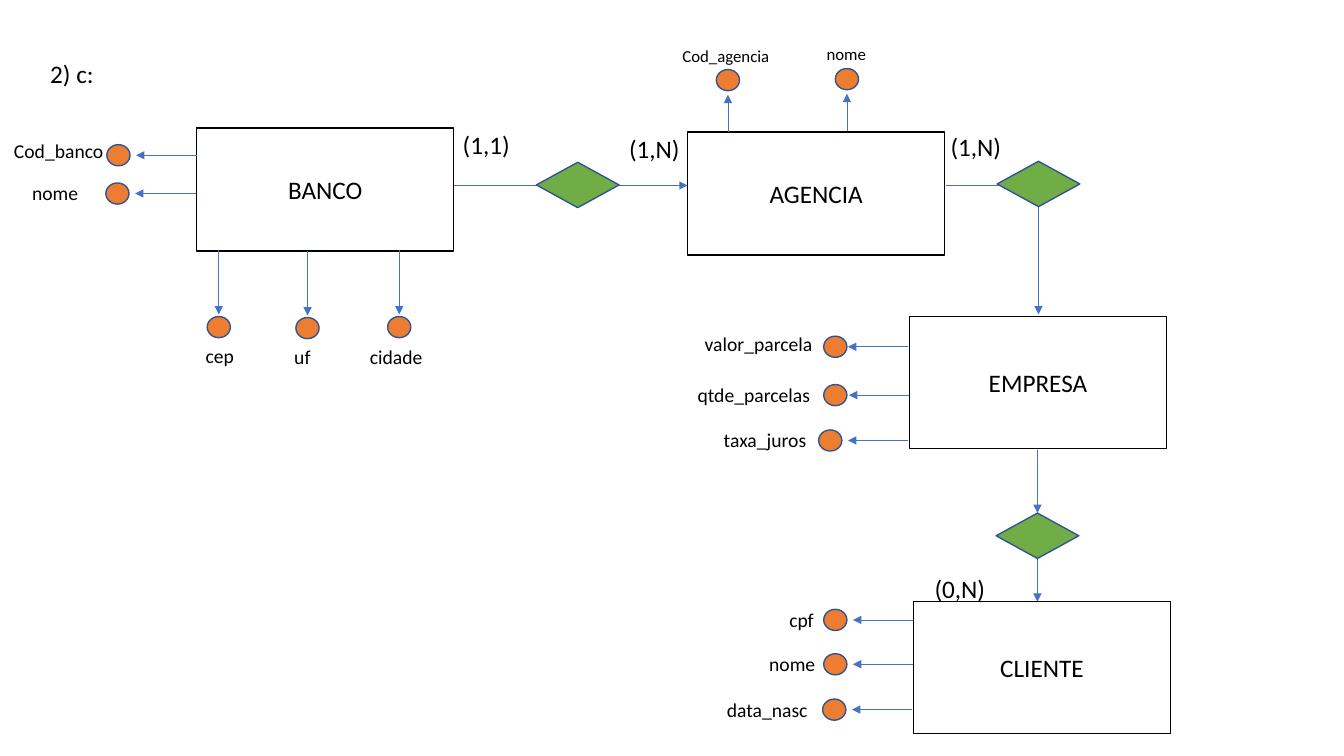
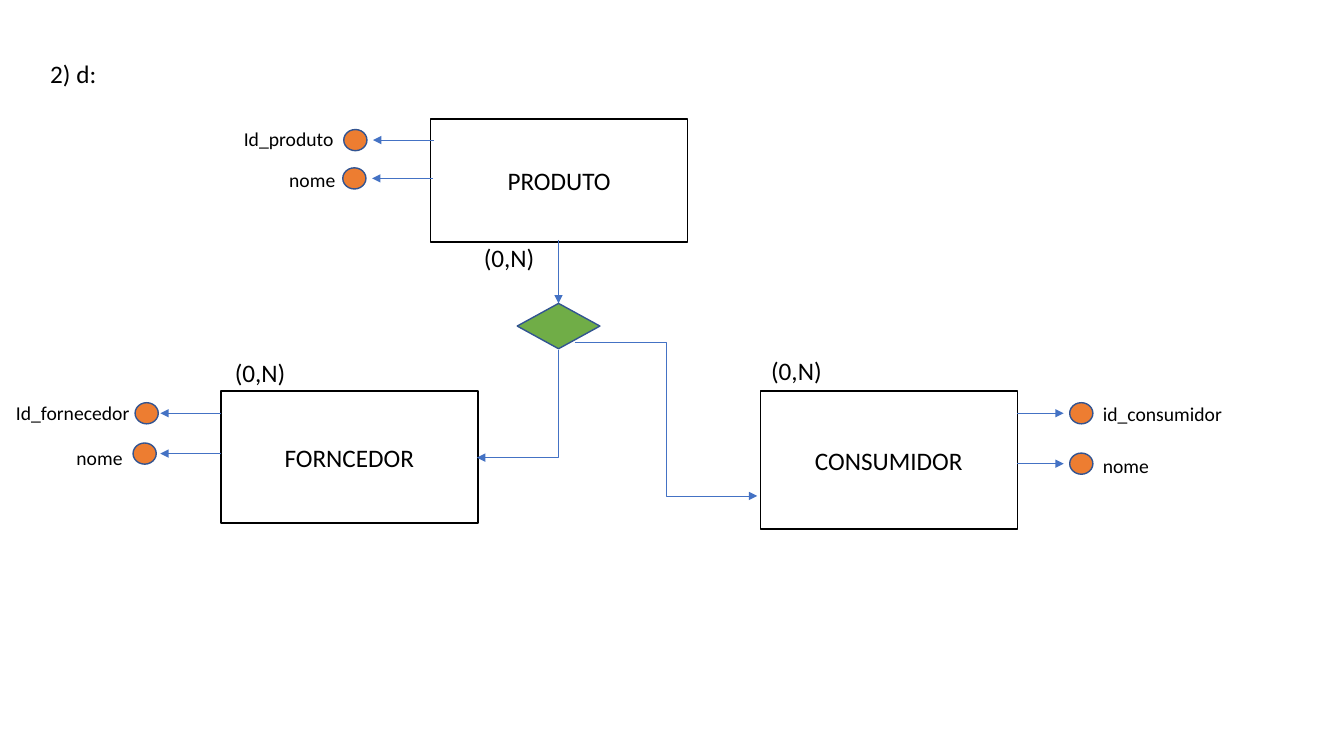
from dataclasses import dataclass

from lxml import etree
from pptx import Presentation
from pptx.dml.color import RGBColor
from pptx.enum.shapes import MSO_CONNECTOR, MSO_SHAPE
from pptx.enum.text import MSO_ANCHOR, PP_ALIGN
from pptx.oxml.ns import qn
from pptx.shapes.autoshape import Shape
from pptx.shapes.connector import Connector
from pptx.slide import Slide
from pptx.text.text import TextFrame
from pptx.util import Inches, Pt

RECT, DIAMOND, OVAL = MSO_SHAPE.RECTANGLE, MSO_SHAPE.DIAMOND, MSO_SHAPE.OVAL
STRAIGHT, ELBOW = MSO_CONNECTOR.STRAIGHT, MSO_CONNECTOR.ELBOW
MIDDLE, CENTER = MSO_ANCHOR.MIDDLE, PP_ALIGN.CENTER

COLORS = {
    "text": "000000",
    "entity": "FFFFFF",
    "border": "000000",
    "relation": "70AD47",
    "attribute": "ED7D31",
    "outline": "325491",
    "arrow": "4472C4",
}
TEXT_FORMAT = {"name": "Calibri", "bold": False, "italic": False}
TITLE_AT = (0.4, 0.53)
BOX_W = 2.55
DIAMOND_W, DIAMOND_H = 0.82, 0.45
DOT_W, DOT_H = 0.23, 0.21
LARGE, MEDIUM, SMALL = 18, 14, 12
LINE_HEIGHTS = {LARGE: 0.4, MEDIUM: 0.34, SMALL: 0.3}
ARROW_STEPS = {
    "left": (-0.6, 0),
    "right": (0.46, 0),
    "up": (0, -0.37),
    "down": (0, 0.64),
}

Point = tuple[float, float]


@dataclass(frozen=True)
class Label:
    text: str
    left: float
    top: float
    width: float
    size: int = MEDIUM
    wrap: bool = True


@dataclass(frozen=True)
class Entity:
    name: str
    left: float
    top: float
    height: float


@dataclass(frozen=True)
class Attribute:
    label: Label
    start: Point
    side: str = "left"
    gap: float = 0.06


@dataclass(frozen=True)
class Link:
    start: Point
    end: Point
    kind: MSO_CONNECTOR = STRAIGHT
    preset: str = ""
    rotation: int = 0


@dataclass(frozen=True)
class Diagram:
    title: Label
    cardinalities: list[Label]
    entities: list[Entity]
    links: list[Link]
    relations: list[Point]
    attributes: list[Attribute]


def rgb(key: str) -> RGBColor:
    return RGBColor.from_string(COLORS[key])


def write(tf: TextFrame, text: str, size: int) -> None:
    p = tf.paragraphs[0]
    r = p.add_run()
    r.text = text
    for name, value in TEXT_FORMAT.items():
        setattr(r.font, name, value)
    r.font.size = Pt(size)
    r.font.color.rgb = rgb("text")


def draw_label(s: Slide, label: Label) -> None:
    tb = s.shapes.add_textbox(
        Inches(label.left), Inches(label.top),
        Inches(label.width), Inches(LINE_HEIGHTS[label.size]),
    )
    tb.text_frame.word_wrap = label.wrap
    write(tb.text_frame, label.text, label.size)


def draw_shape(s: Slide, kind: MSO_SHAPE, at: Point, size: Point,
               fill: str, line: str) -> Shape:
    sp = s.shapes.add_shape(kind, *map(Inches, (*at, *size)))
    sp.shadow.inherit = False
    sp.fill.solid()
    sp.fill.fore_color.rgb = rgb(fill)
    sp.line.color.rgb = rgb(line)
    sp.line.width = Pt(1)
    return sp


def draw_entity(s: Slide, entity: Entity) -> None:
    sp = draw_shape(s, RECT, (entity.left, entity.top),
                    (BOX_W, entity.height), "entity", "border")
    tf = sp.text_frame
    tf.vertical_anchor = MIDDLE
    tf.paragraphs[0].alignment = CENTER
    write(tf, entity.name, LARGE)


def draw_link(s: Slide, link: Link) -> Connector:
    cn = s.shapes.add_connector(link.kind, *map(Inches, (*link.start, *link.end)))
    cn.line.color.rgb = rgb("arrow")
    cn.line.width = Pt(0.5)
    sp_pr = cn._element.spPr
    etree.SubElement(cn.line._get_or_add_ln(), qn("a:tailEnd"), type="triangle")
    etree.SubElement(sp_pr, qn("a:effectLst"))
    if link.preset:
        sp_pr.find(qn("a:prstGeom")).set("prst", link.preset)
    if link.rotation:
        sp_pr.find(qn("a:xfrm")).set("rot", str(link.rotation * 60000))
    return cn


def draw_attribute(s: Slide, attribute: Attribute) -> None:
    x, y = attribute.start
    dx, dy = ARROW_STEPS[attribute.side]
    end = (x + dx, y + dy)
    draw_link(s, Link(attribute.start, end))
    reach_x = attribute.gap + DOT_W / 2
    reach_y = attribute.gap + DOT_H / 2
    center_x = end[0] + reach_x * ((dx > 0) - (dx < 0))
    center_y = end[1] + reach_y * ((dy > 0) - (dy < 0))
    draw_shape(s, OVAL, (center_x - DOT_W / 2, center_y - DOT_H / 2),
               (DOT_W, DOT_H), "attribute", "outline")
    draw_label(s, attribute.label)


def draw_diagram(s: Slide, diagram: Diagram) -> None:
    for label in (diagram.title, *diagram.cardinalities):
        draw_label(s, label)
    for entity in diagram.entities:
        draw_entity(s, entity)
    for link in diagram.links:
        draw_link(s, link)
    for at in diagram.relations:
        draw_shape(s, DIAMOND, at, (DIAMOND_W, DIAMOND_H), "relation", "outline")
    for attribute in diagram.attributes:
        draw_attribute(s, attribute)


BANK = Diagram(
    title=Label("2) c:", *TITLE_AT, 0.64, LARGE, False),
    cardinalities=[
        Label("(1,1)", 4.49, 1.23, 0.68, LARGE),
        Label("(1,N)", 6.14, 1.27, 0.75, LARGE),
        Label("(1,N)", 9.33, 1.25, 0.73, LARGE),
        Label("(0,N)", 9.17, 5.64, 0.71, LARGE),
    ],
    entities=[
        Entity("BANCO", 1.95, 1.27, 1.22),
        Entity("AGENCIA", 6.82, 1.31, 1.22),
        Entity("EMPRESA", 9.02, 3.14, 1.31),
        Entity("CLIENTE", 9.06, 5.97, 1.31),
    ],
    links=[
        Link((4.5, 1.84), (5.55, 1.84)),
        Link((6.09, 1.84), (6.82, 1.84)),
        Link((9.38, 1.84), (10.04, 1.84)),
        Link((10.3, 2.05), (10.3, 3.12)),
        Link((10.29, 4.46), (10.29, 5.09)),
        Link((10.29, 5.55), (10.29, 5.97)),
    ],
    relations=[(5.32, 1.61), (9.89, 1.6), (9.88, 5.09)],
    attributes=[
        Attribute(Label("Cod_banco", 0.04, 1.33, 1.14), (1.95, 1.54)),
        Attribute(Label("nome", 0.22, 1.75, 0.94), (1.94, 1.92)),
        Attribute(Label("cep", 1.94, 3.36, 0.57), (2.17, 2.48), "down", 0.02),
        Attribute(Label("uf", 2.82, 3.37, 0.57), (3.05, 2.49), "down", 0.02),
        Attribute(Label("cidade", 3.57, 3.37, 0.85), (3.96, 2.48), "down", 0.02),
        Attribute(Label("Cod_agencia", 6.67, 0.4, 1.14, SMALL),
                  (7.22, 1.31), "up", 0.04),
        Attribute(Label("nome", 8.1, 0.38, 0.6, SMALL, False),
                  (8.4, 1.3), "up", 0.04),
        Attribute(Label("valor_parcela", 6.89, 3.24, 1.51), (9.01, 3.44), gap=0.01),
        Attribute(Label("qtde_parcelas", 6.82, 3.75, 1.35), (9.02, 3.92), gap=0.02),
        Attribute(Label("taxa_juros", 7.08, 4.2, 1.04), (9.01, 4.37)),
        Attribute(Label("cpf", 7.73, 5.98, 0.51), (9.06, 6.15)),
        Attribute(Label("nome", 7.53, 6.42, 0.68), (9.06, 6.59)),
        Attribute(Label("data_nasc", 7.11, 6.87, 1.09), (9.05, 7.04)),
    ],
)

SUPPLY = Diagram(
    title=Label("2) d:", *TITLE_AT, 0.67, LARGE, False),
    cardinalities=[
        Label("(0,N)", 4.7, 2.36, 1.01, LARGE),
        Label("(0,N)", 2.23, 3.5, 1.01, LARGE),
        Label("(0,N)", 7.55, 3.48, 0.74, LARGE),
    ],
    entities=[
        Entity("PRODUTO", 4.27, 1.18, 1.22),
        Entity("FORNCEDOR", 2.19, 3.88, 1.31),
        Entity("CONSUMIDOR", 7.54, 3.88, 1.37),
    ],
    links=[
        Link((5.54, 2.38), (5.54, 3.01)),
        Link((4.6, 3.6), (5.67, 4.41), ELBOW, "bentConnector2", 90),
        Link((5.7, 3.4), (7.51, 4.92), ELBOW),
    ],
    relations=[(5.13, 3.01)],
    attributes=[
        Attribute(Label("Id_produto", 2.32, 1.21, 1.14), (4.3, 1.39)),
        Attribute(Label("nome", 2.77, 1.62, 0.94), (4.29, 1.77)),
        Attribute(Label("Id_fornecedor", 0.06, 3.93, 1.35), (2.19, 4.1), gap=0.02),
        Attribute(Label("nome", 0.66, 4.37, 0.68), (2.19, 4.5), gap=0.04),
        Attribute(Label("id_consumidor", 10.84, 3.94, 1.46), (10.09, 4.1), "right"),
        Attribute(Label("nome", 10.84, 4.45, 0.7), (10.09, 4.6), "right"),
    ],
)

prs = Presentation()
prs.slide_width, prs.slide_height = Inches(13.33), Inches(7.5)
for diagram in (BANK, SUPPLY):
    draw_diagram(prs.slides.add_slide(prs.slide_layouts[6]), diagram)
prs.save("out.pptx")
